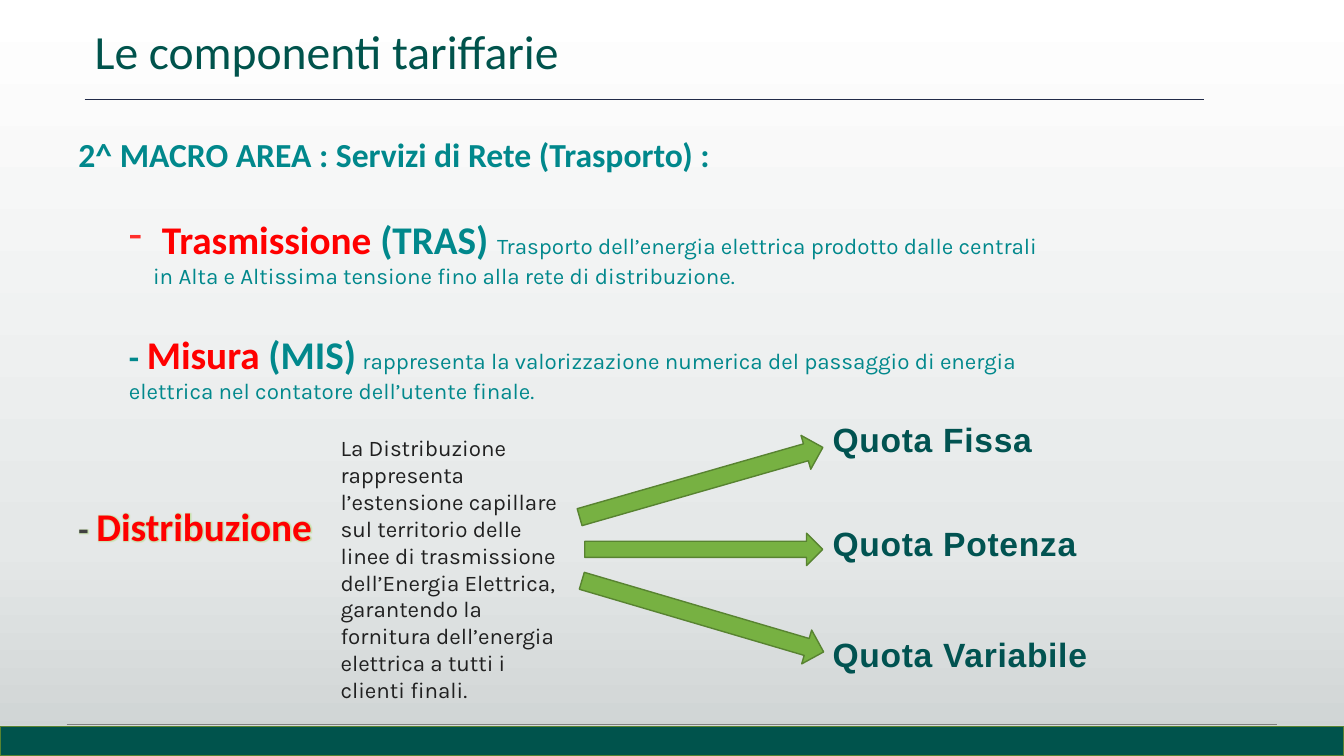
from lxml import etree
from pptx import Presentation
from pptx.dml.color import RGBColor
from pptx.enum.shapes import MSO_CONNECTOR, MSO_SHAPE
from pptx.enum.text import MSO_ANCHOR, MSO_AUTO_SIZE
from pptx.oxml.ns import qn
from pptx.util import Inches, Pt

RECTANGLE, RIGHT_ARROW = MSO_SHAPE.RECTANGLE, MSO_SHAPE.RIGHT_ARROW
STRAIGHT = MSO_CONNECTOR.STRAIGHT
TOP, BOTTOM = MSO_ANCHOR.TOP, MSO_ANCHOR.BOTTOM
FIT_SHAPE, NO_FIT = MSO_AUTO_SIZE.SHAPE_TO_FIT_TEXT, MSO_AUTO_SIZE.NONE

DARK_GREEN, TEAL, RED = "00534C", "01888C", "FF0000"
ARROW_FILL, ARROW_LINE, HALO = "77B142", "588331", "C9E2AE"
BACKGROUND = [(0, "FFFFFF"), (72, "E5E8E8"), (100, "CDD2D2")]

# Runs: text, size, font, colour, bold
TITLE = [("Le componenti tariffarie", 34, "Calibri", DARK_GREEN, False)]
MACRO_AREA = [("2^ MACRO AREA : Servizi di Rete (Trasporto) :", 24, "Calibri", TEAL, True)]
TRANSMISSION = [
    (" ", 28, "Calibri", RED, True),
    ("Trasmissione", 28, "Calibri", RED, True),
    (" (TRAS) ", 28, "Calibri", TEAL, True),
    ("Trasporto dell’energia elettrica prodotto dalle centrali in Alta e Altissima "
     "tensione fino alla rete di distribuzione.", 16, "Karla", TEAL, False),
]
METERING = [
    ("- ", 24, "Calibri", TEAL, True),
    ("Misura", 28, "Calibri", RED, True),
    (" (MIS)", 28, "Calibri", TEAL, True),
    (" ", 18, "Karla", TEAL, True),
    ("rappresenta la valorizzazione numerica del passaggio di energia elettrica nel "
     "contatore dell’utente finale.", 16, "Karla", TEAL, False),
]
# Runs, left margin, first-line indent, space before, bullet
SERVICES = [
    (MACRO_AREA, 0.5, -0.5, 0, None),
    (TRANSMISSION, 0.74, -0.24, 29.3, "-"),
    (METERING, 0.5, 0, 29.3, None),
]
DISTRIBUTION = [
    ("- ", 24, "Calibri", "404040", True),
    ("Distribuzione", 28, "Calibri", RED, True),
]
DISTRIBUTION_NOTE = [(
    "La Distribuzione rappresenta l’estensione capillare sul territorio delle linee di "
    "trasmissione dell’Energia Elettrica, garantendo la fornitura dell’energia elettrica "
    "a tutti i clienti finali.", 16, "Karla", "202020", False)]
# Label, top, width, arrow box, arrow rotation
QUOTAS = [
    ("Quota Fissa", 4.11, 2.2, (5.7, 4.61, 2.51, 0.35), 344),
    ("Quota Potenza", 5.14, 2.65, (5.8, 5.29, 2.36, 0.32), 0),
    ("Quota Variabile", 6.24, 2.76, (5.72, 5.94, 2.5, 0.35), 16.4),
]
QUOTA_LEFT, QUOTA_HEIGHT = 8.16, 0.5
# Left, right, height on the slide, colour
RULES = [(0.84, 11.94, 0.99, "222B48"), (0.66, 12.67, 7.19, "7F7F7F")]


def rgb(value):
    return RGBColor.from_string(value)


def add_shape(slide, kind, box, fill, line=None, rotation=0):
    shape = slide.shapes.add_shape(kind, *map(Inches, box))
    shape.shadow.inherit = False
    shape.fill.solid()
    shape.fill.fore_color.rgb = rgb(fill)
    if line:
        shape.line.color.rgb = rgb(line)
        shape.line.width = Pt(1)
    else:
        shape.line.fill.background()
    shape.rotation = rotation


def add_rule(slide, left, right, y, color):
    rule = slide.shapes.add_connector(STRAIGHT, *map(Inches, (left, y, right, y)))
    rule.line.color.rgb = rgb(color)
    rule.line.width = Pt(0.5)
    etree.SubElement(rule._element.spPr, qn("a:effectLst"))


def add_runs(paragraph, runs):
    for text, size, font, color, bold in runs:
        run = paragraph.add_run()
        run.text = text
        run.font.size = Pt(size)
        run.font.name = font
        run.font.bold = bold
        run.font.color.rgb = rgb(color)


def add_text(slide, box, runs=(), wrap=True, anchor=TOP, fit=FIT_SHAPE):
    frame = slide.shapes.add_textbox(*map(Inches, box)).text_frame
    frame.word_wrap = wrap
    frame.auto_size = fit
    frame.vertical_anchor = anchor
    add_runs(frame.paragraphs[0], runs)
    return frame


def set_background(slide):
    fill = slide.background.fill
    fill.gradient()
    gradient = slide._element.find(".//" + qn("a:gradFill"))
    stops = gradient.find(qn("a:gsLst"))
    for stop in list(stops):
        stops.remove(stop)
    for position, color in BACKGROUND:
        stop = etree.SubElement(stops, qn("a:gs"), pos=str(position * 1000))
        etree.SubElement(stop, qn("a:srgbClr"), val=color)
    gradient.find(qn("a:lin")).set("ang", str(90 * 60000))


def add_halo(run):
    effects = etree.Element(qn("a:effectLst"))
    glow = etree.SubElement(effects, qn("a:glow"), rad=str(Pt(3)))
    etree.SubElement(glow, qn("a:srgbClr"), val=HALO)
    run._r.rPr.find(qn("a:solidFill")).addnext(effects)


def add_services(slide):
    frame = add_text(slide, (0.68, 1.28, 9.72, 2.79))
    for index, (runs, margin, indent, before, bullet) in enumerate(SERVICES):
        paragraph = frame.add_paragraph() if index else frame.paragraphs[0]
        paragraph.space_before = Pt(before)
        add_runs(paragraph, runs)
        properties = paragraph._p.get_or_add_pPr()
        properties.set("marL", str(Inches(margin)))
        properties.set("indent", str(Inches(indent)))
        if bullet:
            bullet_color = etree.SubElement(properties, qn("a:buClr"))
            etree.SubElement(bullet_color, qn("a:srgbClr"), val="FF2F2B")
            etree.SubElement(properties, qn("a:buFontTx"))
            etree.SubElement(properties, qn("a:buChar"), char=bullet)


def main():
    deck = Presentation()
    deck.slide_width, deck.slide_height = Inches(13.33), Inches(7.5)
    slide = deck.slides.add_slide(deck.slide_layouts[6])
    set_background(slide)

    for rule in RULES:
        add_rule(slide, *rule)
    add_shape(slide, RECTANGLE, (0, 7.2, 13.33, 0.05), "FFFFFF")
    add_shape(slide, RECTANGLE, (0, 7.21, 13.33, 0.29), DARK_GREEN, ARROW_LINE)

    title = add_text(slide, (0.84, 0.13, 10.4, 0.71), TITLE, anchor=BOTTOM, fit=NO_FIT)
    title.paragraphs[0].line_spacing = 0.9
    add_services(slide)

    for label, top, width, arrow_box, rotation in QUOTAS:
        quota = add_text(slide, (QUOTA_LEFT, top, width, QUOTA_HEIGHT),
                         [(label, 24, "Arial", "015351", True)], wrap=False)
        quota.paragraphs[0].runs[0]._r.rPr.set("spc", "50")
        add_shape(slide, RIGHT_ARROW, arrow_box, ARROW_FILL, ARROW_LINE, rotation)

    distribution = add_text(slide, (0.68, 4.93, 2.64, 0.57), DISTRIBUTION)
    for run in distribution.paragraphs[0].runs:
        add_halo(run)
    add_text(slide, (3.28, 4.26, 2.44, 2.79), DISTRIBUTION_NOTE)
    deck.save("out.pptx")


if __name__ == "__main__":
    main()
